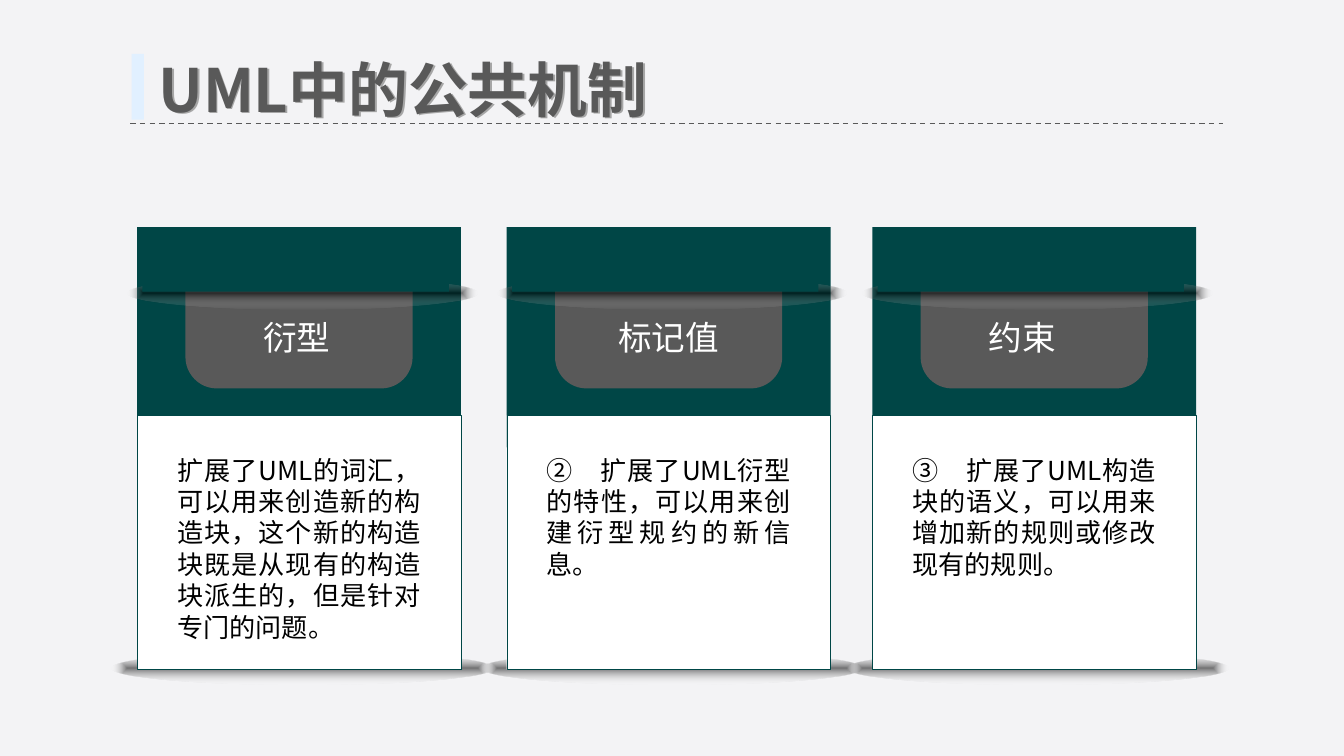
from lxml import etree
from pptx import Presentation
from pptx.dml.color import RGBColor
from pptx.enum.dml import MSO_LINE
from pptx.enum.shapes import MSO_CONNECTOR, MSO_SHAPE as SHAPE
from pptx.enum.text import MSO_AUTO_SIZE, PP_ALIGN
from pptx.oxml import parse_xml
from pptx.oxml.ns import nsdecls, qn
from pptx.util import Inches, Pt

BACKGROUND = RGBColor(0xF3, 0xF3, 0xF5)
TEAL = RGBColor(0x00, 0x46, 0x46)
GRAY = RGBColor(0x59, 0x59, 0x59)
PALE_BLUE = RGBColor(0xE1, 0xF0, 0xFF)
WHITE = RGBColor(0xFF, 0xFF, 0xFF)
BLACK = RGBColor(0x00, 0x00, 0x00)

SOFT_GRADIENT = f"""<a:gradFill {nsdecls('a')} rotWithShape="1"><a:gsLst>
<a:gs pos="0"><a:srgbClr val="000000"><a:alpha val="53000"/></a:srgbClr></a:gs>
<a:gs pos="100000"><a:srgbClr val="FFFFFF"><a:alpha val="0"/></a:srgbClr></a:gs>
</a:gsLst><a:path path="rect">
<a:fillToRect l="50000" t="50000" r="50000" b="50000"/></a:path></a:gradFill>"""
TITLE_SHADOW = f"""<a:effectLst {nsdecls('a')}>
<a:outerShdw blurRad="0" dist="19050" dir="2700000" algn="tl">
<a:srgbClr val="A6A6A6"/></a:outerShdw></a:effectLst>"""


class Deck:
    font = "Noto Sans CJK SC"

    def __init__(self, slide):
        self.s = slide

    def shape(self, parent, kind, x, y, w, h, fill, line=None):
        sp = parent.shapes.add_shape(kind, Inches(x), Inches(y), Inches(w), Inches(h))
        sp.shadow.inherit = False
        sp.fill.solid()
        sp.fill.fore_color.rgb = fill
        if line is None:
            sp.line.fill.background()
        else:
            sp.line.color.rgb = line
            sp.line.width = Pt(0.11)
        return sp

    def soft_shadow(self, parent, x, y, w):
        sp = self.shape(parent, SHAPE.OVAL, x, y, w, 0.24, BLACK)
        solid = sp._element.spPr.find(qn("a:solidFill"))
        solid.getparent().replace(solid, parse_xml(SOFT_GRADIENT))

    def dashed_line(self, x1, x2, y):
        line = self.s.shapes.add_connector(
            MSO_CONNECTOR.STRAIGHT, Inches(x1), Inches(y), Inches(x2), Inches(y))
        line.line.color.rgb = GRAY
        line.line.width = Pt(0.75)
        line.line.dash_style = MSO_LINE.DASH
        etree.SubElement(line._element.spPr, qn("a:effectLst"))

    def text(self, text, x, y, w, h, size, color, bold=False, wrap=True,
             align=PP_ALIGN.LEFT):
        box = self.s.shapes.add_textbox(Inches(x), Inches(y), Inches(w), Inches(h))
        tf = box.text_frame
        tf.word_wrap = wrap
        tf.auto_size = MSO_AUTO_SIZE.SHAPE_TO_FIT_TEXT
        tf.text = text
        p = tf.paragraphs[0]
        p.alignment = align
        p._p.get_or_add_pPr().set("hangingPunct", "0")
        r = p.runs[0]
        r.font.name = self.font
        r.font.size = Pt(size)
        r.font.bold = bold
        r.font.color.rgb = color
        r._r.get_or_add_rPr().find(qn("a:latin")).addnext(
            parse_xml(f'<a:ea {nsdecls("a")} typeface="{self.font}"/>'))
        return box

    def title(self, text):
        self.shape(self.s, SHAPE.RECTANGLE, 0.98, 0.4, 0.09, 0.49, PALE_BLUE)
        self.dashed_line(0.97, 9.1, 0.92)
        box = self.text(text, 1.08, 0.34, 4.23, 0.64, 32, GRAY, bold=True)
        box._element.spPr.append(parse_xml(TITLE_SHADOW))

    def card(self, x, label, label_x, label_w, body, body_h):
        group = self.s.shapes.add_group_shape()
        self.soft_shadow(group, x - 0.19, 4.85, 2.84)
        self.shape(group, SHAPE.RECTANGLE, x, 1.69, 2.41, 1.64, TEAL)
        tab = self.shape(group, SHAPE.ROUNDED_RECTANGLE, x + 0.36, 1.9, 1.69, 0.99, GRAY)
        tab.adjustments[0] = 0.236
        self.soft_shadow(group, x - 0.07, 2.06, 2.6)
        self.shape(group, SHAPE.RECTANGLE, x + 0.04, 1.82, 2.28, 0.35, TEAL)
        self.shape(group, SHAPE.RECTANGLE, x, 3.09, 2.41, 1.89, WHITE, TEAL)
        self.text(label, label_x, 2.31, label_w, 0.4, 18, WHITE, wrap=False)
        self.text(body, x + 0.2, 3.33, 2.01, body_h, 14, BLACK, align=PP_ALIGN.JUSTIFY)


def main():
    # A 16:9 slide
    prs = Presentation()
    prs.slide_width = Inches(10)
    prs.slide_height = Inches(10 * 9 / 16)
    s = prs.slides.add_slide(prs.slide_layouts[6])
    s.background.fill.solid()
    s.background.fill.fore_color.rgb = BACKGROUND
    deck = Deck(s)

    # Title bar
    deck.title("UML中的公共机制")

    # Three mechanism cards
    cards = [
        (1.02, "衍型", 1.86, 0.7,
         "扩展了UML的词汇，可以用来创造新的构造块，这个新的构造块既是从现有的构造块派生的，但是针对专门的问题。", 1.5),
        (3.77, "标记值", 4.5, 0.95,
         "②　扩展了UML衍型的特性，可以用来创建衍型规约的新信息。", 1.04),
        (6.49, "约束", 7.26, 0.7,
         "③　扩展了UML构造块的语义，可以用来增加新的规则或修改现有的规则。", 1.04),
    ]
    for card in cards:
        deck.card(*card)

    prs.save("out.pptx")


if __name__ == "__main__":
    main()
